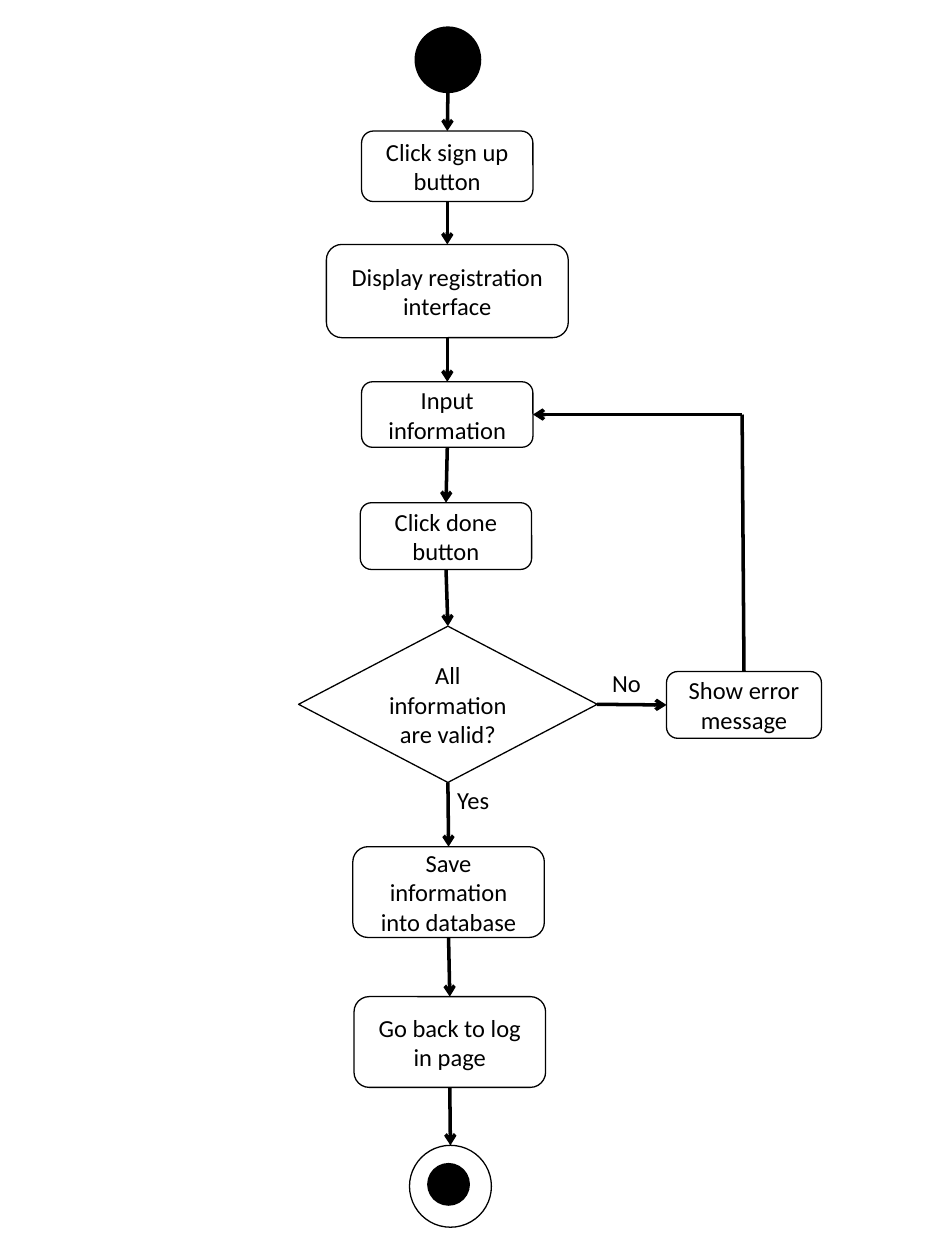
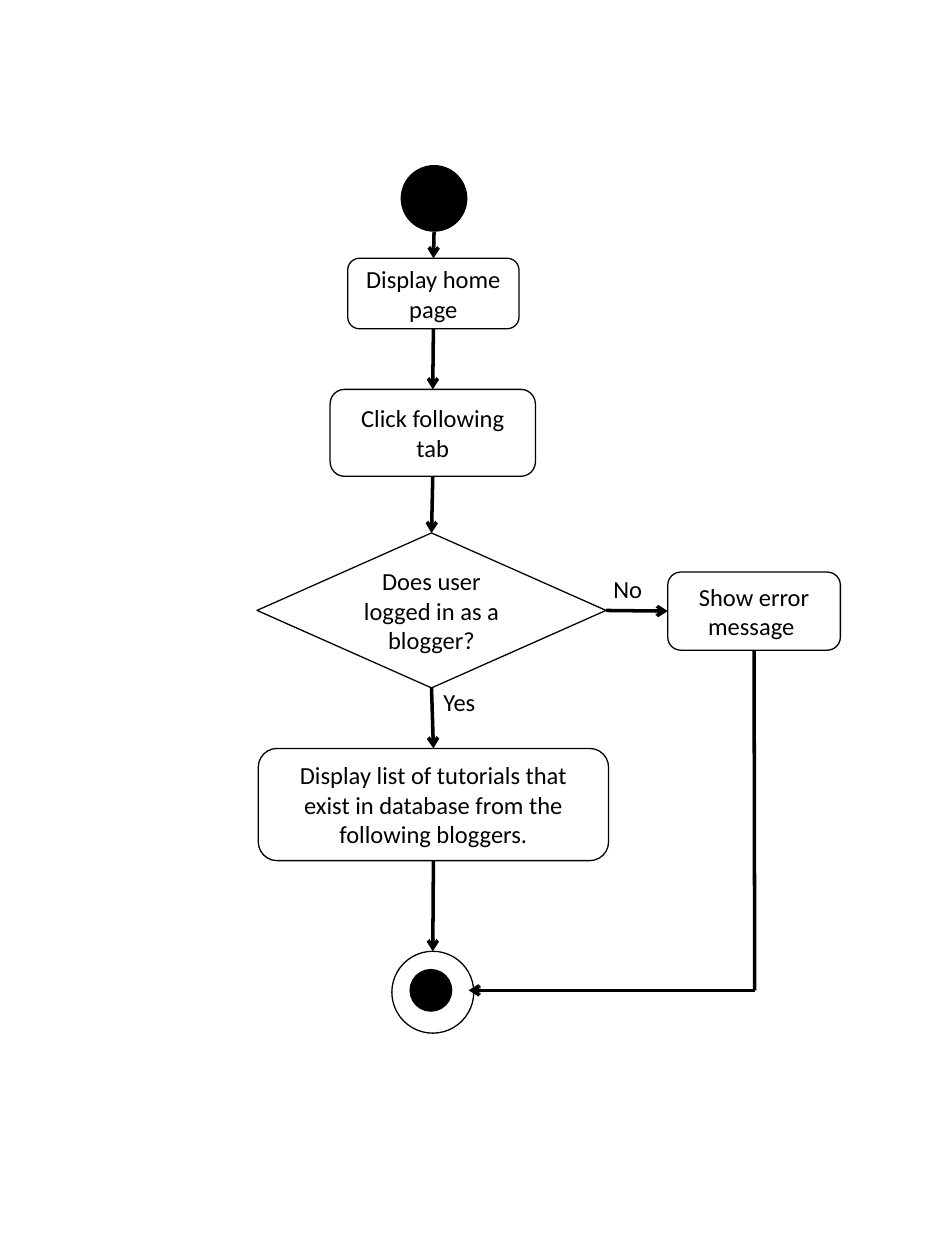
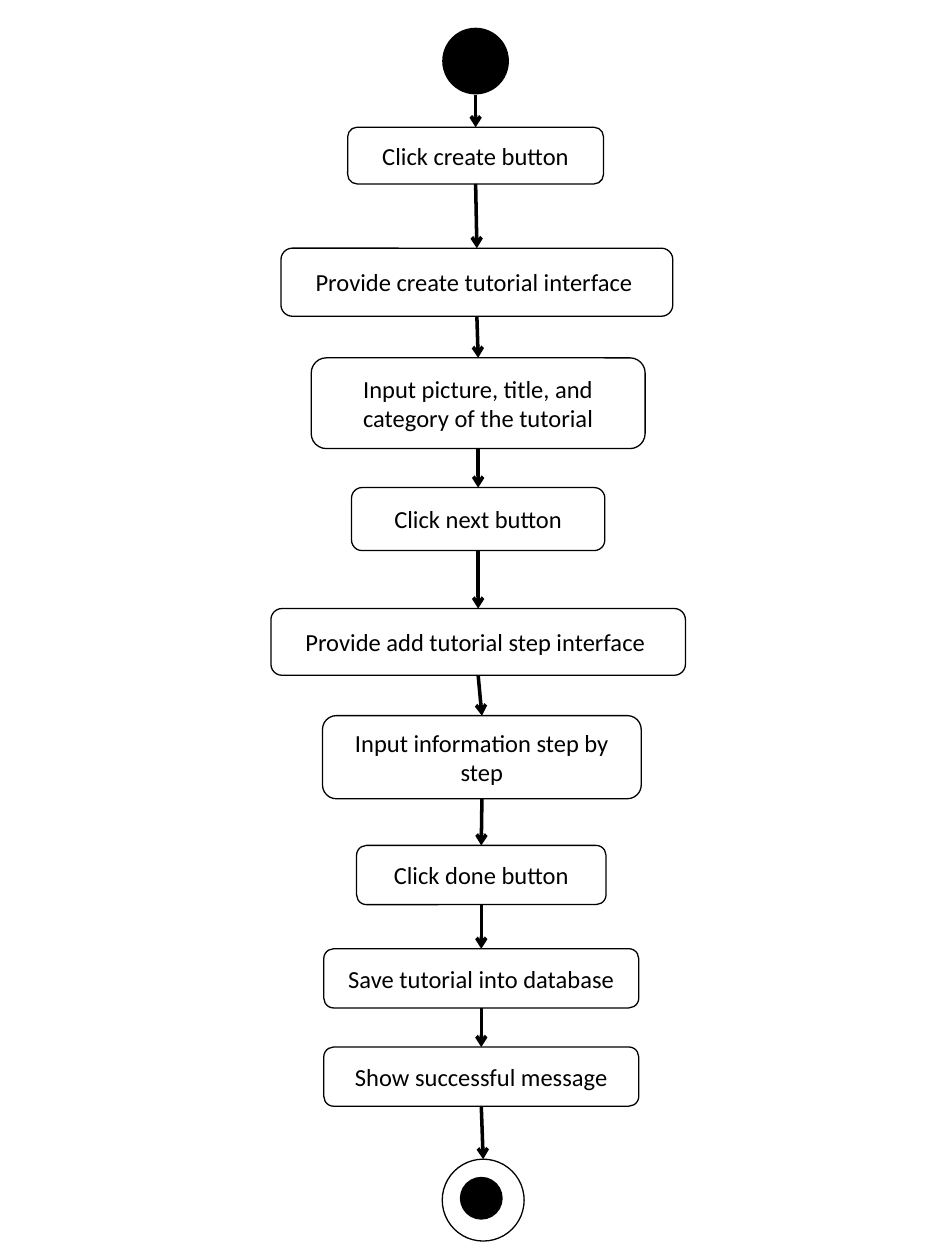
from dataclasses import dataclass
from typing import NamedTuple, Optional

from lxml.etree import SubElement
from pptx import Presentation
from pptx.dml.color import RGBColor
from pptx.enum.shapes import MSO_CONNECTOR, MSO_SHAPE as Shape
from pptx.enum.text import MSO_ANCHOR as Anchor, MSO_AUTO_SIZE, PP_ALIGN as Align
from pptx.oxml.ns import qn
from pptx.util import Inches, Pt

BLACK = RGBColor(0, 0, 0)
WHITE = RGBColor(255, 255, 255)
FONT = "Calibri"
DOT, RING, CORE, CORE_INSET = 0.53, 0.65, 0.34, 0.14
TOP, LEFT, BOTTOM, RIGHT = range(4)


class Point(NamedTuple):
    x: float
    y: float


class Port(NamedTuple):
    """The middle of one side of a shape."""
    sp: object
    side: int

    @property
    def xy(self) -> tuple:
        sp = self.sp
        mid_x, mid_y = sp.left + sp.width // 2, sp.top + sp.height // 2
        return {
            TOP: (mid_x, sp.top),
            LEFT: (sp.left, mid_y),
            BOTTOM: (mid_x, sp.top + sp.height),
            RIGHT: (sp.left + sp.width, mid_y),
        }[self.side]


@dataclass
class Step:
    text: str
    x: float
    y: float
    w: float
    h: float
    decision: bool = False


@dataclass
class ErrorBranch:
    """The No path: its box, the side it leaves by, the bend and where it goes."""
    box: Step
    exit_side: int
    corner: Point
    yes_label: Point
    no_label: Point
    target_step: Optional[int] = None
    target_point: Optional[Point] = None


@dataclass
class Flow:
    start: Point
    end: Point
    steps: list[Step]
    error: Optional[ErrorBranch] = None


FLOWS = [
    Flow(
        Point(3.29, 0.21), Point(3.25, 9.09),
        [
            Step("Click sign up button", 2.87, 1.04, 1.36, 0.56),
            Step("Display registration interface", 2.59, 1.94, 1.92, 0.74),
            Step("Input information", 2.87, 3.03, 1.36, 0.52),
            Step("Click done button", 2.86, 3.99, 1.36, 0.53),
            Step("All information are valid?", 2.37, 4.97, 2.37, 1.24, True),
            Step("Save information into database", 2.8, 6.72, 1.52, 0.72),
            Step("Go back to log in page", 2.81, 7.91, 1.52, 0.72),
        ],
        ErrorBranch(
            Step("Show error message", 5.29, 5.33, 1.23, 0.53),
            TOP, Point(5.89, 3.29), Point(3.53, 6.18), Point(4.76, 5.25),
            target_step=2,
        ),
    ),
    Flow(
        Point(3.18, 1.31), Point(3.11, 7.55),
        [
            Step("Display home page", 2.76, 2.05, 1.36, 0.56),
            Step("Click following tab", 2.62, 3.09, 1.63, 0.69),
            Step("Does user logged in as a blogger?", 2.04, 4.23, 2.77, 1.23, True),
            Step("Display list of tutorials that exist in database from the "
                 "following bloggers.", 2.05, 5.94, 2.78, 0.89),
        ],
        ErrorBranch(
            Step("Show error message ", 5.3, 4.54, 1.37, 0.62),
            BOTTOM, Point(5.99, 7.86), Point(3.42, 5.4), Point(4.77, 4.51),
            target_point=Point(3.72, 7.86),
        ),
    ),
    Flow(
        Point(3.51, 0.22), Point(3.51, 9.2),
        [
            Step("Click create button", 2.76, 1.01, 2.03, 0.45),
            Step("Provide create tutorial interface ", 2.23, 1.97, 3.11, 0.54),
            Step("Input picture, title, and category of the tutorial",
                 2.47, 2.84, 2.65, 0.72),
            Step("Click next button", 2.79, 3.87, 2.01, 0.5),
            Step("Provide add tutorial step interface ", 2.15, 4.83, 3.29, 0.53),
            Step("Input information step by step", 2.56, 5.68, 2.53, 0.66),
            Step("Click done button", 2.83, 6.71, 1.98, 0.47),
            Step("Save tutorial into database", 2.57, 7.53, 2.5, 0.47),
            Step("Show successful message", 2.57, 8.31, 2.5, 0.47),
        ],
    ),
]


def write(sp, text: str, *, size: float = 14, color: RGBColor = BLACK,
          align: Align = Align.LEFT, anchor: Anchor = Anchor.TOP) -> None:
    tf = sp.text_frame
    tf.word_wrap = True
    tf.vertical_anchor = anchor
    p = tf.paragraphs[0]
    p.alignment = align
    r = p.add_run()
    r.text = text
    r.font.name, r.font.size = FONT, Pt(size)
    r.font.color.rgb = color


def add_outline(slide, kind: Shape, x: float, y: float, w: float, h: float,
                *, fill: RGBColor = WHITE, outlined: bool = True):
    sp = slide.shapes.add_shape(kind, Inches(x), Inches(y), Inches(w), Inches(h))
    sp.shadow.inherit = False
    sp.fill.solid()
    sp.fill.fore_color.rgb = fill
    if outlined:
        sp.line.color.rgb = BLACK
        sp.line.width = Pt(0.75)
    else:
        sp.line.fill.background()
    return sp


def add_dot(slide, x: float, y: float, size: float):
    return add_outline(slide, Shape.OVAL, x, y, size, size, fill=BLACK, outlined=False)


def add_step(slide, step: Step):
    kind = Shape.FLOWCHART_DECISION if step.decision else Shape.ROUNDED_RECTANGLE
    sp = add_outline(slide, kind, step.x, step.y, step.w, step.h)
    write(sp, step.text, align=Align.CENTER, anchor=Anchor.MIDDLE)
    return sp


def add_end(slide, at: Point):
    ring = add_outline(slide, Shape.OVAL, at.x, at.y, RING, RING)
    add_dot(slide, at.x + CORE_INSET, at.y + CORE_INSET, CORE)
    return ring


def add_label(slide, text: str, at: Point, width: float) -> None:
    sp = slide.shapes.add_textbox(Inches(at.x), Inches(at.y), Inches(width), Inches(0.34))
    write(sp, text)
    sp.text_frame.auto_size = MSO_AUTO_SIZE.SHAPE_TO_FIT_TEXT


def link(slide, begin, end, *, arrow: bool = True) -> None:
    """Draw a straight line between two ends, each a Port (joined) or a Point (free)."""
    ends = [e.xy if isinstance(e, Port) else (Inches(e.x), Inches(e.y))
            for e in (begin, end)]
    line = slide.shapes.add_connector(MSO_CONNECTOR.STRAIGHT, *ends[0], *ends[1])
    if isinstance(begin, Port):
        line.begin_connect(begin.sp, begin.side)
    if isinstance(end, Port):
        line.end_connect(end.sp, end.side)
    line.line.color.rgb = BLACK
    line.line.width = Pt(2)
    if arrow:
        SubElement(line.line._get_or_add_ln(), qn("a:tailEnd"), type="arrow")
    SubElement(line._element.spPr, qn("a:effectLst"))


def add_error_branch(slide, branch: ErrorBranch, steps: list, decision) -> None:
    box = add_step(slide, branch.box)
    link(slide, Port(decision, RIGHT), Port(box, LEFT))
    link(slide, Port(box, branch.exit_side), branch.corner, arrow=False)
    target = branch.target_point or Port(steps[branch.target_step], RIGHT)
    link(slide, branch.corner, target)
    add_label(slide, "Yes", branch.yes_label, 0.65)
    add_label(slide, "No", branch.no_label, 0.47)


def draw_flow(slide, flow: Flow) -> None:
    add_dot(slide, *flow.start, DOT)
    steps = [add_step(slide, step) for step in flow.steps]
    end = add_end(slide, flow.end)
    link(slide, Point(flow.start.x + DOT / 2, flow.start.y + DOT), Port(steps[0], TOP))
    for upper, lower in zip(steps, steps[1:] + [end]):
        link(slide, Port(upper, BOTTOM), Port(lower, TOP))
    if flow.error:
        decision = next(sp for sp, step in zip(steps, flow.steps) if step.decision)
        add_error_branch(slide, flow.error, steps, decision)


def main() -> None:
    prs = Presentation()
    prs.slide_width, prs.slide_height = Inches(7.5), Inches(10)
    for flow in FLOWS:
        draw_flow(prs.slides.add_slide(prs.slide_layouts[6]), flow)
    prs.save("out.pptx")


if __name__ == "__main__":
    main()
